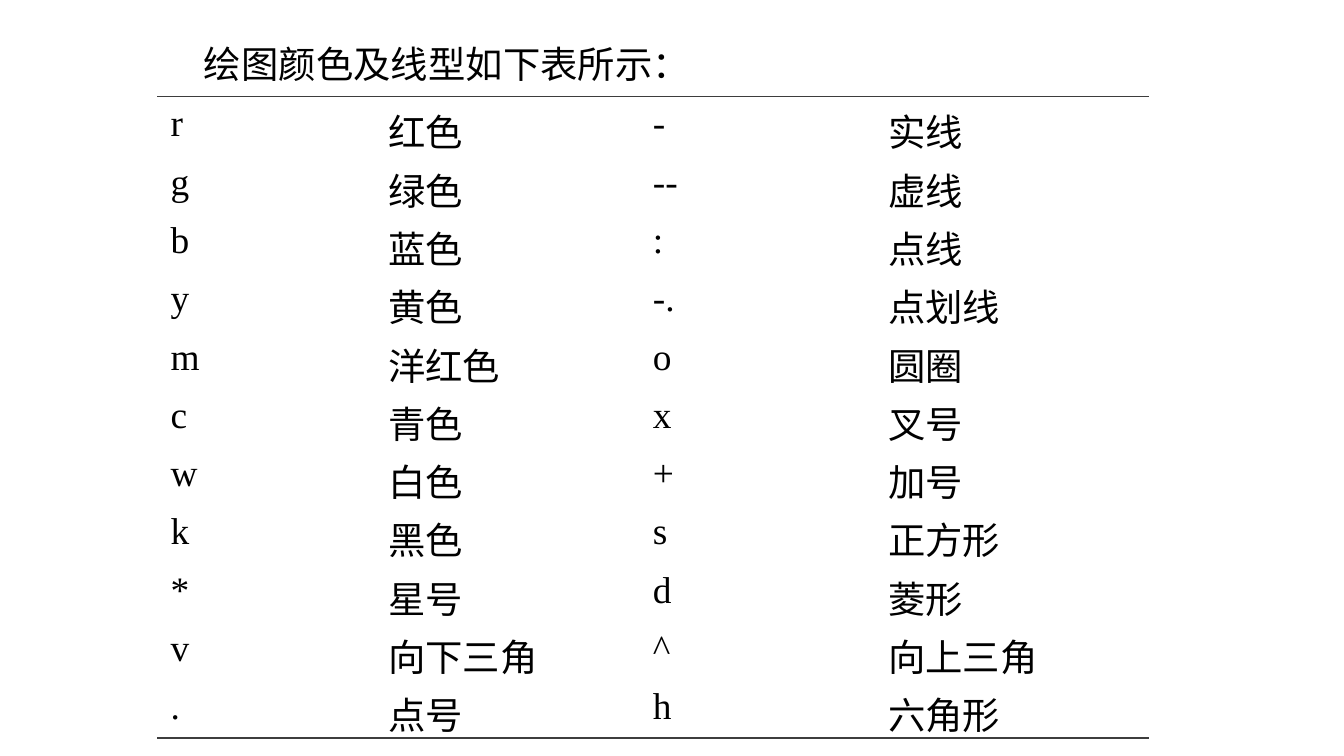
"""Build a slide that lists plot colour and line style codes."""
from lxml import etree
from pptx import Presentation
from pptx.dml.color import RGBColor
from pptx.enum.text import MSO_AUTO_SIZE
from pptx.oxml.ns import qn
from pptx.util import Pt

FIT = MSO_AUTO_SIZE.SHAPE_TO_FIT_TEXT
COLORS = {"text": "000000", "rule": "3D3D3D"}
FONT = {"name": "Times New Roman", "size": Pt(20)}
PLAIN = {"first_row": False, "horz_banding": False}
WIDTHS = [116.6, 141.8, 126, 147]
ROW_H = 27.2
ROWS = [
    ("r", "红色", "-", "实线"),
    ("g", "绿色", "--", "虚线"),
    ("b", "蓝色", ":", "点线"),
    ("y", "黄色", "-.", "点划线"),
    ("m", "洋红色", "o", "圆圈"),
    ("c", "青色", "x", "叉号"),
    ("w", "白色", "+", "加号"),
    ("k", "黑色", "s", "正方形"),
    ("*", "星号", "d", "菱形"),
    ("v", "向下三角", "^", "向上三角"),
    (".", "点号", "h", "六角形"),
]


def write(p, text):
    r = p.add_run()
    r.text = text
    for key, value in FONT.items():
        setattr(r.font, key, value)
    r.font.color.rgb = RGBColor.from_string(COLORS["text"])


def add_rule(cell, side):
    ln = etree.Element(qn(f"a:{side}"), w=str(Pt(1)))
    fill = etree.SubElement(ln, qn("a:solidFill"))
    etree.SubElement(fill, qn("a:srgbClr"), val=COLORS["rule"])
    cell._tc.get_or_add_tcPr().insert(0, ln)


prs = Presentation()
prs.slide_width, prs.slide_height = Pt(720), Pt(405)
s = prs.slides.add_slide(prs.slide_layouts[6])

tf = s.shapes.add_textbox(Pt(66.2), Pt(6.5), Pt(607), Pt(43.2)).text_frame
tf.word_wrap = True
tf.auto_size = FIT
p = tf.paragraphs[0]
p.line_spacing = 1.5
p._p.get_or_add_pPr().set("indent", str(Pt(36)))
write(p, "绘图颜色及线型如下表所示：")

table = s.shapes.add_table(
    len(ROWS), len(WIDTHS), Pt(84.2), Pt(51.8), Pt(sum(WIDTHS)), Pt(ROW_H * len(ROWS))
).table
for key, value in PLAIN.items():
    setattr(table, key, value)
table._tbl.tblPr.find(qn("a:tableStyleId")).text = "{2D5ABB26-0587-4C30-8999-92F81FD0307C}"
for column, width in zip(table.columns, WIDTHS):
    column.width = Pt(width)

for i, row in enumerate(ROWS):
    table.rows[i].height = Pt(ROW_H)
    for j, text in enumerate(row):
        cell = table.cell(i, j)
        cell.fill.background()
        p = cell.text_frame.paragraphs[0]
        before = etree.SubElement(p._p.get_or_add_pPr(), qn("a:spcBef"))
        etree.SubElement(before, qn("a:spcPct"), val="20000")
        write(p, text)
        if i == 0:
            add_rule(cell, "lnT")
        if i == len(ROWS) - 1:
            add_rule(cell, "lnB")

prs.save("out.pptx")
